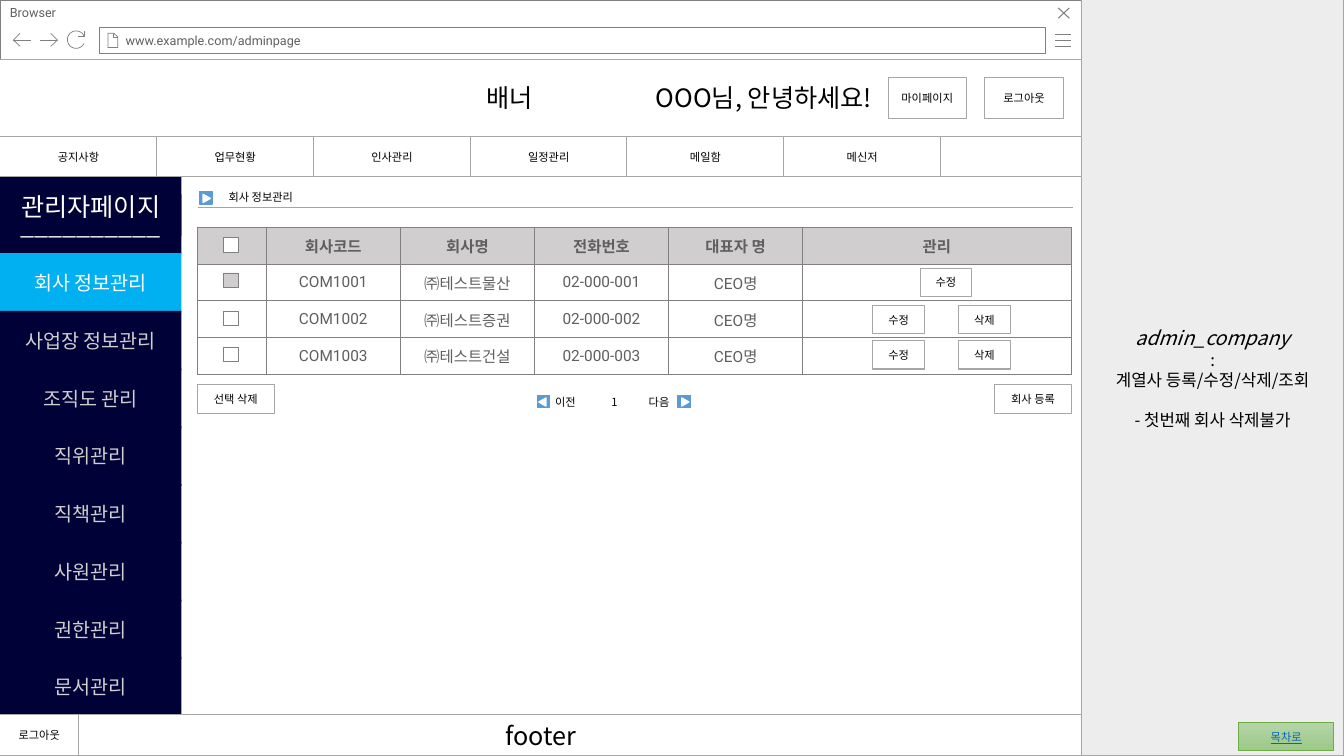
from dataclasses import dataclass, field
from math import cos, radians, sin

from lxml import etree
from pptx import Presentation, util as u
from pptx.dml.color import RGBColor
from pptx.enum import shapes, text
from pptx.oxml import ns

COLORS = {
    "white": "FFFFFF", "black": "000000", "gray": "808080", "border": "A6A6A6",
    "divider": "A5A5A5", "ink": "5F5F5F", "panel": "EDEDED", "navy": "000136",
    "sky": "00B0F0", "silver": "D0CECE", "blue": "5B9BD5", "green": "70AD47",
    "leaf_light": "B5D5A7", "leaf_dark": "9CC987", "link": "0563C1",
}
KOREAN = "Noto Sans CJK KR"
SMALL = {"size": u.Pt(8), "name": KOREAN}
MENU = {"size": u.Pt(14), "name": KOREAN}
TITLE = {"size": u.Pt(18), "name": KOREAN}
BROWSER = {"size": u.Pt(9), "name": "Roboto"}
CELL = {"size": u.Pt(11), "name": "Roboto"}
CENTER, LEFT = text.PP_ALIGN.CENTER, text.PP_ALIGN.LEFT
MIDDLE, TOP = text.MSO_ANCHOR.MIDDLE, text.MSO_ANCHOR.TOP
RECTANGLE = shapes.MSO_SHAPE.RECTANGLE


@dataclass
class Box:
    left: float
    top: float
    width: float
    height: float
    content: str = ""
    style: dict = field(default_factory=lambda: SMALL)
    ink: str = "black"
    fill: str | None = "white"
    line: str | None = "border"
    weight: float = 0.75
    align: text.PP_ALIGN = CENTER
    anchor: text.MSO_ANCHOR = MIDDLE
    inset: float = 0.25
    kind: shapes.MSO_SHAPE = RECTANGLE
    rotation: int = 0


@dataclass
class Icon:
    strokes: list
    weight: float = 0.5


def color(name: str) -> RGBColor:
    return RGBColor.from_string(COLORS[name])


def set_all(target, values: dict) -> None:
    for name, value in values.items():
        setattr(target, name, value)


def write(paragraph, content: str, style: dict, ink: str, align=CENTER) -> None:
    paragraph.alignment = align
    run = paragraph.add_run()
    run.text = content
    set_all(run.font, style)
    run.font.color.rgb = color(ink)
    etree.SubElement(run.font._element, ns.qn("a:ea"), typeface=KOREAN)


def paint(shape, fill: str | None, line: str | None, weight: float) -> None:
    shape.shadow.inherit = False
    if fill:
        shape.fill.solid()
        shape.fill.fore_color.rgb = color(fill)
    else:
        shape.fill.background()
    if line:
        shape.line.color.rgb = color(line)
        shape.line.width = u.Pt(weight)
    else:
        shape.line.fill.background()


def draw_box(slide, box: Box):
    shape = slide.shapes.add_shape(
        box.kind, u.Cm(box.left), u.Cm(box.top), u.Cm(box.width), u.Cm(box.height))
    shape.rotation = box.rotation
    paint(shape, box.fill, box.line, box.weight)
    if box.content:
        set_all(shape.text_frame, {"word_wrap": True, "vertical_anchor": box.anchor,
                                   "margin_left": u.Cm(box.inset)})
        write(shape.text_frame.paragraphs[0], box.content, box.style, box.ink, box.align)
    return shape


def draw_label(slide, left: float, top: float, width: float, content: str) -> None:
    label = slide.shapes.add_textbox(u.Cm(left), u.Cm(top), u.Cm(width), u.Cm(0.61))
    label.text_frame.word_wrap = True
    write(label.text_frame.paragraphs[0], content, SMALL, "black", LEFT)


def draw_icon(slide, icon: Icon) -> None:
    strokes = [[(u.Cm(x), u.Cm(y)) for x, y in stroke] for stroke in icon.strokes]
    builder = slide.shapes.build_freeform(*strokes[0][0])
    for index, stroke in enumerate(strokes):
        if index:
            builder.move_to(*stroke[0])
        builder.add_line_segments(stroke[1:], close=False)
    paint(builder.convert_to_shape(), None, "gray", icon.weight)


def draw_arrow(slide, left: float, top: float, rotation: int) -> None:
    shift = 0.08 if rotation == 90 else 0.03
    draw_box(slide, Box(left, top, 0.31, 0.31, fill="blue", line="blue", weight=1))
    draw_box(slide, Box(left + shift, top + 0.08, 0.2, 0.18, line="white", weight=1,
                        kind=shapes.MSO_SHAPE.ISOSCELES_TRIANGLE, rotation=rotation))


def draw_browser(slide) -> None:
    draw_box(slide, Box(0, 1.5, 27.25, 17.55, line="gray", weight=0.5))
    draw_box(slide, Box(0, 0, 27.25, 1.5, "Browser", BROWSER, "ink", line="gray",
                        weight=0.5, align=LEFT, anchor=TOP))
    draw_box(slide, Box(2.51, 0.69, 23.83, 0.66, "www.example.com/adminpage", BROWSER,
                        "ink", line="gray", weight=0.5, align=LEFT, inset=0.66))
    arc = [(1.92 + 0.22 * cos(radians(angle)), 1 + 0.22 * sin(radians(angle)))
           for angle in range(25, 338, 12)]
    for icon in (
        Icon([[(26.59, y), (27, y)] for y in (0.86, 1.02, 1.17)]),
        Icon([[(26.95, 0.2), (26.67, 0.46)], [(26.67, 0.2), (26.95, 0.46)]], 0.75),
        Icon([[(2.87, 0.84), (2.87, 0.93), (2.97, 0.93)],
              [(2.87, 0.84), (2.72, 0.84), (2.72, 1.2), (2.97, 1.2), (2.97, 0.93),
               (2.87, 0.84)]]),
        Icon([[(0.51, 1.17), (0.34, 1.01), (0.51, 0.84)], [(0.34, 1.01), (0.78, 1.01)]]),
        Icon([[(1.28, 0.84), (1.45, 1.01), (1.28, 1.17)], [(1.45, 1.01), (1.02, 1.01)]]),
        Icon([[(2.13, 0.79), (2.13, 0.91), (1.98, 0.91)], arc]),
    ):
        draw_icon(slide, icon)


def draw_notes_panel(slide) -> None:
    panel = draw_box(slide, Box(27.25, 0, 6.62, 19.05, "admin_company",
                                MENU | {"italic": True}, fill="panel"))
    for line in (":", "계열사 등록/수정/삭제/조회", "- 첫번째 회사 삭제불가"):
        paragraph = panel.text_frame.add_paragraph()
        write(paragraph, line, {"size": u.Pt(12), "name": KOREAN}, "black")
    paragraph.space_before = u.Pt(14)


def draw_sidebar(slide) -> None:
    for top, content in ((4.9, "__________"), (4.45, "관리자페이지")):
        draw_box(slide, Box(0, top, 4.57, 1.5, content, TITLE, "white", "navy", None))
    entries = ("회사 정보관리", "사업장 정보관리", "조직도 관리", "직위관리",
               "직책관리", "사원관리", "권한관리", "문서관리")
    for index, entry in enumerate(entries):
        ink, fill = ("silver", "navy") if index else ("white", "sky")
        draw_box(slide, Box(0, 6.38 + 1.455 * index, 4.57, 1.5, entry, MENU, ink, fill, None))


def draw_banner(slide) -> None:
    banner = draw_box(slide, Box(0, 1.5, 27.25, 1.93, "\t배너\tOOO님, 안녕하세요!",
                                 TITLE, align=LEFT))
    properties = banner.text_frame.paragraphs[0]._p.get_or_add_pPr()
    tabs = etree.SubElement(properties, ns.qn("a:tabLst"))
    for position in (12, 16.28):
        etree.SubElement(tabs, ns.qn("a:tab"), pos=str(int(u.Cm(position))), algn="l")
    for left, content in ((22.38, "마이페이지"), (24.82, "로그아웃")):
        draw_box(slide, Box(left, 1.96, 1.98, 1.02, content))
    for index, tab in enumerate(("공지사항", "업무현황", "인사관리", "일정관리", "메일함", "메신저")):
        draw_box(slide, Box(3.95 * index, 3.45, 3.96, 0.99, tab))


def draw_company_table(slide) -> None:
    rows = [("", "회사코드", "회사명", "전화번호", "대표자 명", "관리")]
    for number, name in enumerate(("물산", "증권", "건설"), 1):
        rows.append(("", f"COM100{number}", f"㈜테스트{name}", f"02-000-00{number}", "CEO명", ""))
    table = slide.shapes.add_table(4, 6, u.Cm(4.98), u.Cm(5.72), u.Cm(22.01), u.Cm(3.72)).table
    set_all(table, {"first_row": False, "horz_banding": False})
    for column, width in zip(table.columns, (1.73, 3.38, 3.38, 3.38, 3.38, 6.76)):
        column.width = u.Cm(width)
    for row_index, row in enumerate(rows):
        table.rows[row_index].height = u.Cm(0.93)
        for column_index, content in enumerate(row):
            cell = table.cell(row_index, column_index)
            set_all(cell, {"vertical_anchor": MIDDLE, "margin_top": 0, "margin_bottom": 0})
            cell.fill.solid()
            cell.fill.fore_color.rgb = color("white" if row_index else "silver")
            if content:
                write(cell.text_frame.paragraphs[0], content,
                      CELL | {"bold": row_index == 0}, "ink")
            for order, side in enumerate(("lnL", "lnR", "lnT", "lnB")):
                border = etree.Element(ns.qn(f"a:{side}"), w=str(int(u.Pt(0.5))))
                solid = etree.SubElement(border, ns.qn("a:solidFill"))
                etree.SubElement(solid, ns.qn("a:srgbClr"), val=COLORS["gray"])
                cell._tc.get_or_add_tcPr().insert(order, border)
    for index, top in enumerate((5.99, 6.88, 7.85, 8.76)):
        draw_box(slide, Box(5.64, top, 0.36, 0.36, fill="silver" if index == 1 else "white",
                            line="gray", weight=0.5))
    draw_box(slide, Box(23.19, 6.76, 1.3, 0.71, "수정"))
    for top in (7.7, 8.59):
        for left, content in ((22, "수정"), (24.16, "삭제")):
            draw_box(slide, Box(left, top, 1.3, 0.71, content))


def draw_content(slide) -> None:
    draw_arrow(slide, 5.03, 4.83, 90)
    draw_label(slide, 5.51, 4.67, 9.4, "회사 정보관리")
    divider = slide.shapes.add_connector(
        shapes.MSO_CONNECTOR.STRAIGHT, u.Cm(4.98), u.Cm(5.23), u.Cm(27.03), u.Cm(5.23))
    divider.line.color.rgb = color("divider")
    divider.line.width = u.Pt(0.5)
    etree.SubElement(divider._element.spPr, ns.qn("a:effectLst"))
    draw_company_table(slide)
    for left, content in ((4.98, "선택 삭제"), (25.07, "회사 등록")):
        draw_box(slide, Box(left, 9.7, 1.93, 0.71, content))
    for left, rotation in ((13.54, 270), (17.09, 90)):
        draw_arrow(slide, left, 9.96, rotation)
    for left, content in ((13.74, "이전"), (15.16, "1"), (16.1, "다음")):
        draw_label(slide, left, 9.83, 1.27, content)


def draw_footer(slide) -> None:
    draw_box(slide, Box(0, 18.01, 27.25, 1.04, "footer", TITLE))
    draw_box(slide, Box(0, 18.01, 1.98, 1.02, "로그아웃"))
    button = draw_box(slide, Box(31.22, 18.21, 2.39, 0.71, "목차로", SMALL | {"underline": True},
                                 "link", line="green", weight=0.5))
    button.fill.gradient()
    button.fill.gradient_angle = 270
    for stop, name in zip(button.fill.gradient_stops, ("leaf_light", "leaf_dark")):
        stop.color.rgb = color(name)


def main() -> None:
    presentation = Presentation()
    set_all(presentation, {"slide_width": u.Cm(33.87), "slide_height": u.Cm(19.05)})
    slide = presentation.slides.add_slide(presentation.slide_layouts[6])
    draw_browser(slide)
    draw_box(slide, Box(0, 3.43, 27.25, 1.02))
    for draw in (draw_notes_panel, draw_sidebar, draw_banner, draw_content, draw_footer):
        draw(slide)
    presentation.save("out.pptx")


if __name__ == "__main__":
    main()
